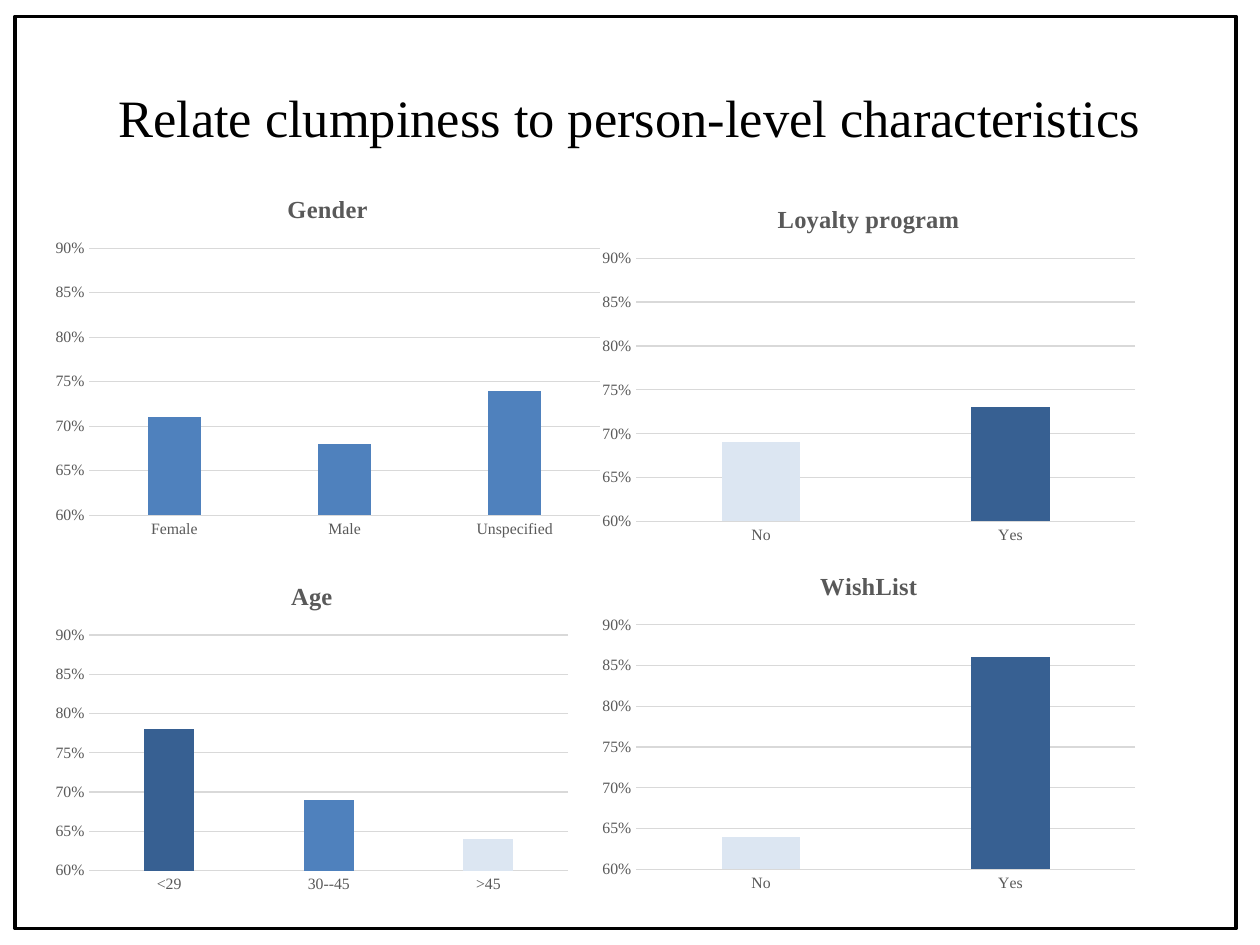
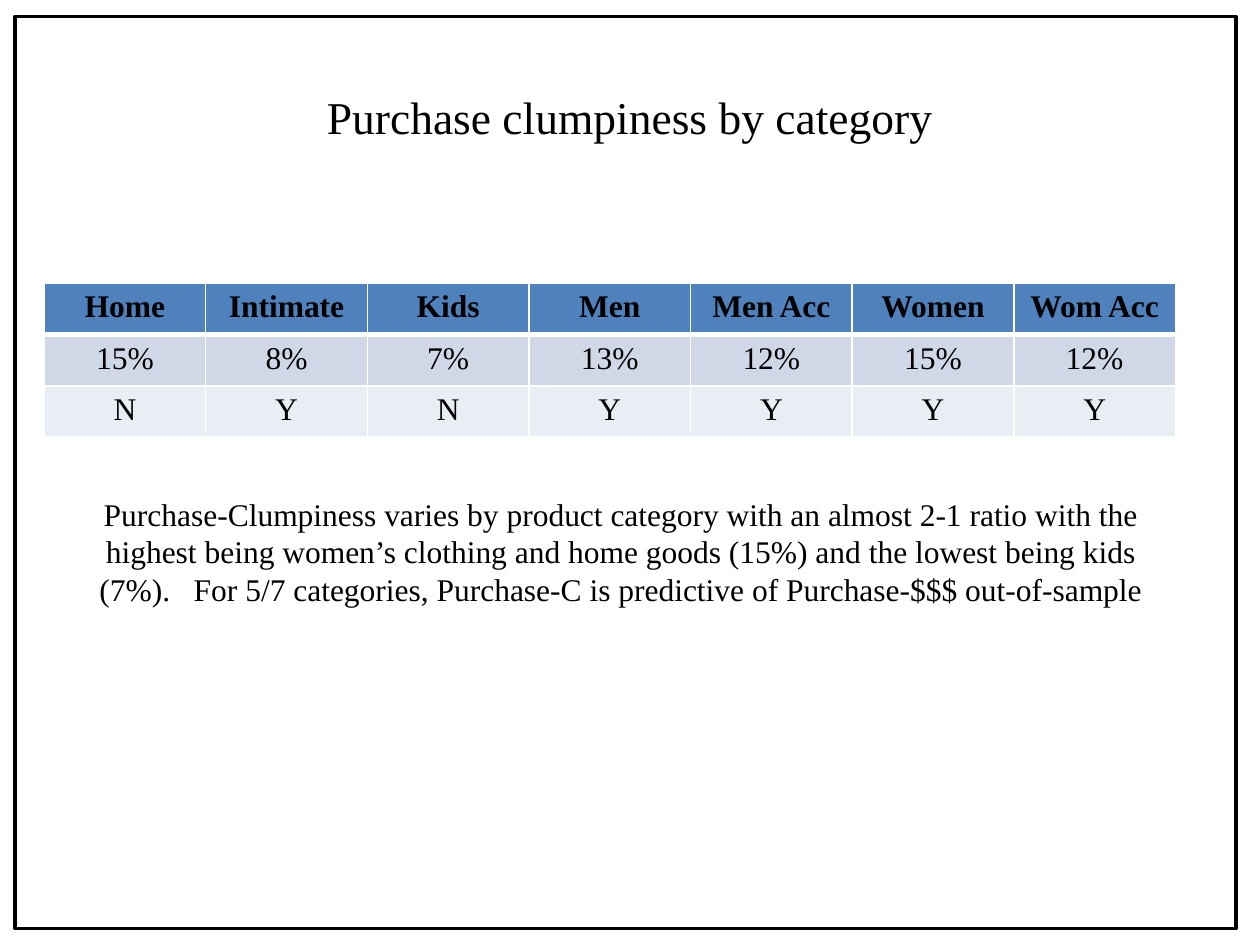
from dataclasses import dataclass, field

from lxml.etree import SubElement as Sub
from pptx import Presentation
from pptx.chart.data import CategoryChartData as ChartData
from pptx.dml.color import RGBColor as Rgb
from pptx.enum.chart import XL_CHART_TYPE as Kind, XL_TICK_MARK as Tick
from pptx.enum.shapes import MSO_SHAPE as Shape
from pptx.enum.text import MSO_ANCHOR as Anchor, PP_ALIGN as Align
from pptx.oxml.ns import qn
from pptx.util import Inches, Pt

COLORS = {
    "ink": "000000", "paper": "FFFFFF", "gray": "595959", "grid": "D9D9D9",
    "blue": "4F81BD", "dark": "376092", "pale": "DCE6F2",
    "band": "D0D8E8", "light": "E9EDF4",
}
FACE = "Times New Roman"
TITLE_TOP = 0.3
# Space between a chart frame and its plot: left, top, right, bottom
INSETS = (0.36, 0.58, 0.09, 0.24)


@dataclass
class Words:
    text: str
    left: float
    top: float
    size: int


@dataclass
class Bars:
    title: str
    left: float
    top: float
    width: float
    height: float
    values: dict[str, float]
    tints: dict[int, str] = field(default_factory=dict)


SPLIT = {0: "pale", 1: "dark"}
CHARTS = [
    Bars("Gender", 0.35, 1.39, 4.5, 2.94,
         {"Female": 0.71, "Male": 0.68, "Unspecified": 0.74}),
    Bars("Loyalty program", 4.69, 1.47, 4.41, 2.91,
         {"No": 0.69, "Yes": 0.73}, SPLIT),
    Bars("WishList", 4.69, 4.38, 4.41, 2.76,
         {"No": 0.64, "Yes": 0.86}, SPLIT),
    Bars("Age", 0.35, 4.46, 4.25, 2.69,
         {"<29": 0.78, "30--45": 0.69, ">45": 0.64}, {0: "dark", 2: "pale"}),
]
ROWS = [
    ["Home", "Intimate", "Kids", "Men", "Men Acc", "Women", "Wom Acc"],
    ["15%", "8%", "7%", "13%", "12%", "15%", "12%"],
    ["N", "Y", "N", "Y", "Y", "Y", "Y"],
]
FILLS = ["blue", "band", "light"]
FINDING = (
    "Purchase-Clumpiness varies by product category with an almost 2-1 ratio "
    "with the highest being women’s clothing and home goods (15%) and the "
    "lowest being kids (7%).   For 5/7 categories, Purchase-C is predictive "
    "of Purchase-$$$ out-of-sample"
)


def rgb(name: str) -> Rgb:
    return Rgb.from_string(COLORS[name])


def style(font, size: float, color: str = "ink", bold: bool = False) -> None:
    for name, value in {"name": FACE, "size": Pt(size), "bold": bold}.items():
        setattr(font, name, value)
    font.color.rgb = rgb(color)


def stroke(line, color: str, width: float) -> None:
    line.color.rgb = rgb(color)
    line.width = Pt(width)


# Slide with the shared frame
def new_slide(deck):
    slide = deck.slides.add_slide(deck.slide_layouts[6])
    frame = slide.shapes.add_shape(
        Shape.RECTANGLE, Inches(0.12), Inches(0.13), Inches(9.69), Inches(7.24))
    frame.shadow.inherit = False
    frame.fill.background()
    stroke(frame.line, "ink", 2)
    return slide


# Centred text, used for titles and the finding
def add_words(slide, words: Words) -> None:
    box = slide.shapes.add_textbox(
        Inches(words.left), Inches(words.top), Inches(9), Inches(1.25))
    frame = box.text_frame
    frame.word_wrap = True
    frame.vertical_anchor = Anchor.MIDDLE
    par = frame.paragraphs[0]
    par.alignment = Align.CENTER
    run = par.add_run()
    run.text = words.text
    style(run.font, words.size)


# Fixed inner plot area
def set_plot(chart, bars: Bars) -> None:
    left, top, right, bottom = INSETS
    parts = {
        "x": left / bars.width,
        "y": top / bars.height,
        "w": (bars.width - left - right) / bars.width,
        "h": (bars.height - top - bottom) / bars.height,
    }
    area = chart.plots[0]._element.getparent()
    for old in area.findall(qn("c:layout")):
        area.remove(old)
    layout = Sub(area, qn("c:layout"))
    area.insert(0, layout)
    manual = Sub(layout, qn("c:manualLayout"))
    modes = {"layoutTarget": "inner", "xMode": "edge", "yMode": "edge"}
    for tag, value in {**modes, **parts}.items():
        text = value if isinstance(value, str) else f"{value:.4f}"
        Sub(manual, qn(f"c:{tag}")).set("val", text)


def add_bars(slide, bars: Bars) -> None:
    data = ChartData(number_format="0%")
    data.categories = list(bars.values)
    data.add_series("Series 1", list(bars.values.values()))
    chart = slide.shapes.add_chart(
        Kind.COLUMN_CLUSTERED, Inches(bars.left), Inches(bars.top),
        Inches(bars.width), Inches(bars.height), data).chart
    style(chart.font, 10)
    chart.has_legend = False
    chart.has_title = True
    chart.chart_title.include_in_layout = False
    par = chart.chart_title.text_frame.paragraphs[0]
    run = par.add_run()
    run.text = bars.title
    style(run.font, 14, "gray", True)

    # Axes
    scale = chart.value_axis
    limits = {"minimum_scale": 0.6, "maximum_scale": 0.9, "major_unit": 0.05}
    for name, value in limits.items():
        setattr(scale, name, value)
    for axis in (chart.category_axis, scale):
        axis.major_tick_mark = axis.minor_tick_mark = Tick.NONE
        style(axis.tick_labels.font, 9, "gray")
    scale.tick_labels.number_format = "0%"
    scale.tick_labels.number_format_is_linked = False
    scale.format.line.fill.background()
    stroke(scale.major_gridlines.format.line, "grid", 0.75)
    stroke(chart.category_axis.format.line, "grid", 0.75)

    # Columns
    plot = chart.plots[0]
    for name, value in {"gap_width": 219, "overlap": -27,
                        "vary_by_categories": False}.items():
        setattr(plot, name, value)
    series = plot.series[0]
    series.invert_if_negative = False
    for fill, color in [(series.format.fill, "blue")] + [
            (series.points[i].format.fill, tint)
            for i, tint in bars.tints.items()]:
        fill.solid()
        fill.fore_color.rgb = rgb(color)
    set_plot(chart, bars)


def set_edges(cell, widths: dict[str, float]) -> None:
    props = cell._tc.get_or_add_tcPr()
    for i, (side, width) in enumerate(widths.items()):
        line = Sub(props, qn(f"a:ln{side}"), w=str(Pt(width)))
        props.insert(i, line)
        fill = Sub(line, qn("a:solidFill"))
        Sub(fill, qn("a:srgbClr"), val=COLORS["paper"])


def add_grid(slide) -> None:
    table = slide.shapes.add_table(
        len(ROWS), len(ROWS[0]), Inches(0.35), Inches(2.25),
        Inches(8.98), Inches(1.22)).table
    for r, row in enumerate(ROWS):
        edges = {"L": 1, "R": 1, "T": 3 if r == 1 else 1,
                 "B": 3 if r == 0 else 1}
        for c, text in enumerate(row):
            cell = table.cell(r, c)
            cell.fill.solid()
            cell.fill.fore_color.rgb = rgb(FILLS[r])
            par = cell.text_frame.paragraphs[0]
            par.alignment = Align.CENTER
            run = par.add_run()
            run.text = text
            style(run.font, 18, bold=r == 0)
            set_edges(cell, edges)


def main() -> None:
    deck = Presentation()
    deck.slide_width, deck.slide_height = Inches(10), Inches(7.5)

    # Clumpiness by person
    slide = new_slide(deck)
    add_words(slide, Words("Relate clumpiness to person-level characteristics",
                           0.5, TITLE_TOP, 30))
    for bars in CHARTS:
        add_bars(slide, bars)

    # Clumpiness by category
    slide = new_slide(deck)
    add_words(slide, Words(FINDING, 0.43, 3.75, 18))
    add_grid(slide)
    add_words(slide, Words("Purchase clumpiness by category",
                           0.5, TITLE_TOP, 26))

    deck.save("out.pptx")


if __name__ == "__main__":
    main()
